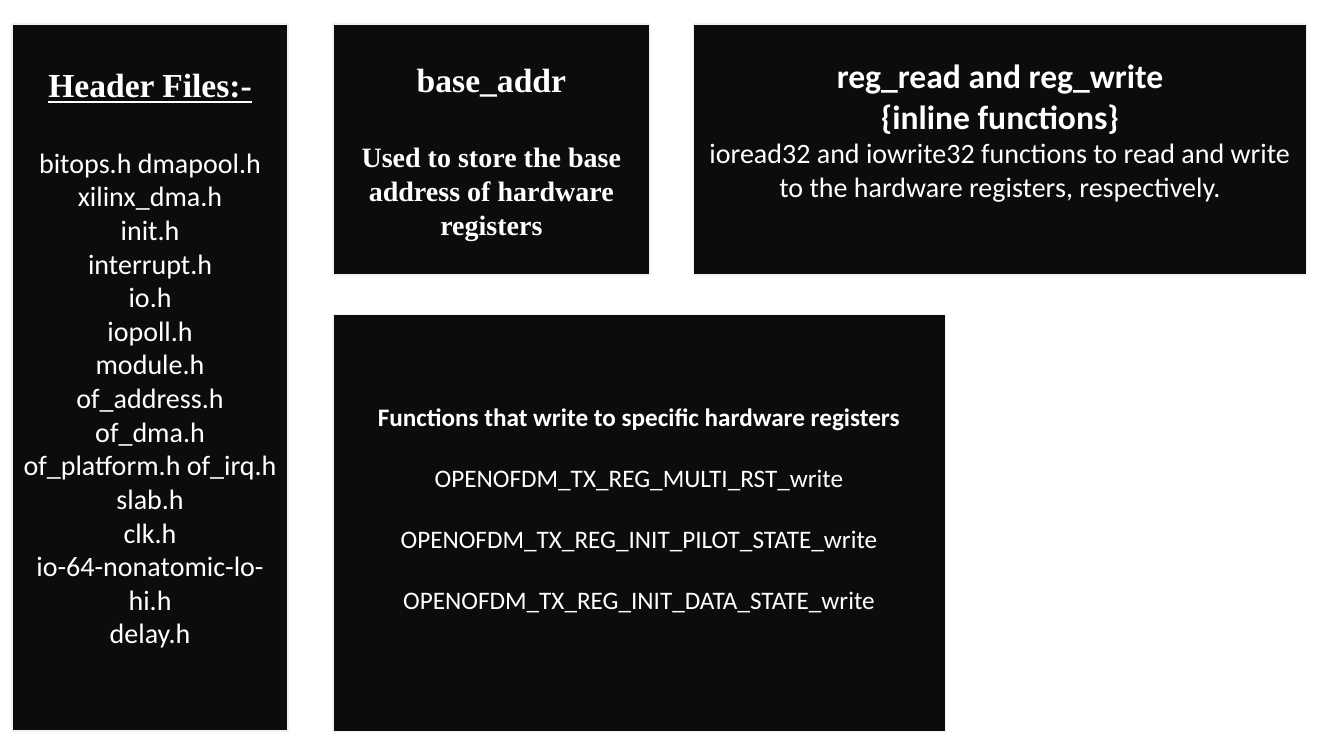
from pptx import Presentation
from pptx.dml.color import RGBColor
from pptx.enum.shapes import MSO_SHAPE
from pptx.enum.text import MSO_ANCHOR, PP_ALIGN
from pptx.util import Pt

RECTANGLE = MSO_SHAPE.RECTANGLE
MIDDLE = MSO_ANCHOR.MIDDLE
CENTER = PP_ALIGN.CENTER

SANS = "Calibri"
SERIF = "Times New Roman"

HEADERS = [
    "bitops.h dmapool.h xilinx_dma.h", "init.h", "interrupt.h", "io.h", "iopoll.h",
    "module.h of_address.h of_dma.h of_platform.h of_irq.h",
    "slab.h", "clk.h", "io-64-nonatomic-lo-hi.h", "delay.h",
]
REGISTER_WRITERS = [
    "OPENOFDM_TX_REG_MULTI_RST_write",
    "OPENOFDM_TX_REG_INIT_PILOT_STATE_write",
    "OPENOFDM_TX_REG_INIT_DATA_STATE_write",
]


def color(value):
    return RGBColor.from_string(value)


def write(paragraph, text, size=20, font=SANS, bold=False, underline=False, before=0):
    paragraph.alignment = CENTER
    if before:
        paragraph.space_before = Pt(before)
    run = paragraph.add_run()
    run.text = text
    run.font.name = font
    run.font.size = Pt(size)
    run.font.bold = bold
    run.font.underline = underline
    run.font.color.rgb = color("FFFFFF")


class CardSlide:
    fill = "0C0C0C"
    outline = "F2F2F2"

    def __init__(self, presentation):
        self.slide = presentation.slides.add_slide(presentation.slide_layouts[6])

    def card(self, left, top, width, height, lines, bottom_inset=3.6):
        """Draw a dark box; lines holds pairs of text and format options."""
        shape = self.slide.shapes.add_shape(
            RECTANGLE, Pt(left), Pt(top), Pt(width), Pt(height))
        shape.shadow.inherit = False
        shape.fill.solid()
        shape.fill.fore_color.rgb = color(self.fill)
        shape.line.color.rgb = color(self.outline)
        shape.line.width = Pt(1.25)
        frame = shape.text_frame
        frame.word_wrap = True
        frame.vertical_anchor = MIDDLE
        frame.margin_left = frame.margin_right = Pt(7.2)
        frame.margin_top = Pt(3.6)
        frame.margin_bottom = Pt(bottom_inset)
        for index, (text, options) in enumerate(lines):
            paragraph = frame.add_paragraph() if index else frame.paragraphs[0]
            write(paragraph, text, **options)


def main():
    presentation = Presentation()
    presentation.slide_width = Pt(960)
    presentation.slide_height = Pt(540)
    cards = CardSlide(presentation)

    top, middle_left = 17.3, 237.6
    upper_height, wide = 179.3, 437.8
    serif_title = dict(size=24, font=SERIF, bold=True)
    sans_title = dict(size=24, bold=True)

    header_lines = [("Header Files:-", dict(serif_title, underline=True))]
    header_lines += [(name, dict(before=0 if index else 29))
                     for index, name in enumerate(HEADERS)]
    cards.card(8.6, top, 197.3, 504.7, header_lines, bottom_inset=33)

    cards.card(middle_left, top, 226.8, upper_height, [
        ("base_addr", serif_title),
        ("Used to store the base address of hardware registers",
         dict(font=SERIF, bold=True, before=29)),
    ])

    cards.card(495.4, top, wide, upper_height, [
        ("reg_read and reg_write", sans_title),
        ("{inline functions}", sans_title),
        ("ioread32 and iowrite32 functions to read and write "
         "to the hardware registers, respectively.", {}),
    ], bottom_inset=33)

    writer_lines = [("Functions that write to specific hardware registers",
                     dict(size=18, bold=True))]
    writer_lines += [(name, dict(size=18, before=22)) for name in REGISTER_WRITERS]
    cards.card(middle_left, 224.6, wide, 298, writer_lines, bottom_inset=25.6)

    presentation.save("out.pptx")


if __name__ == "__main__":
    main()
